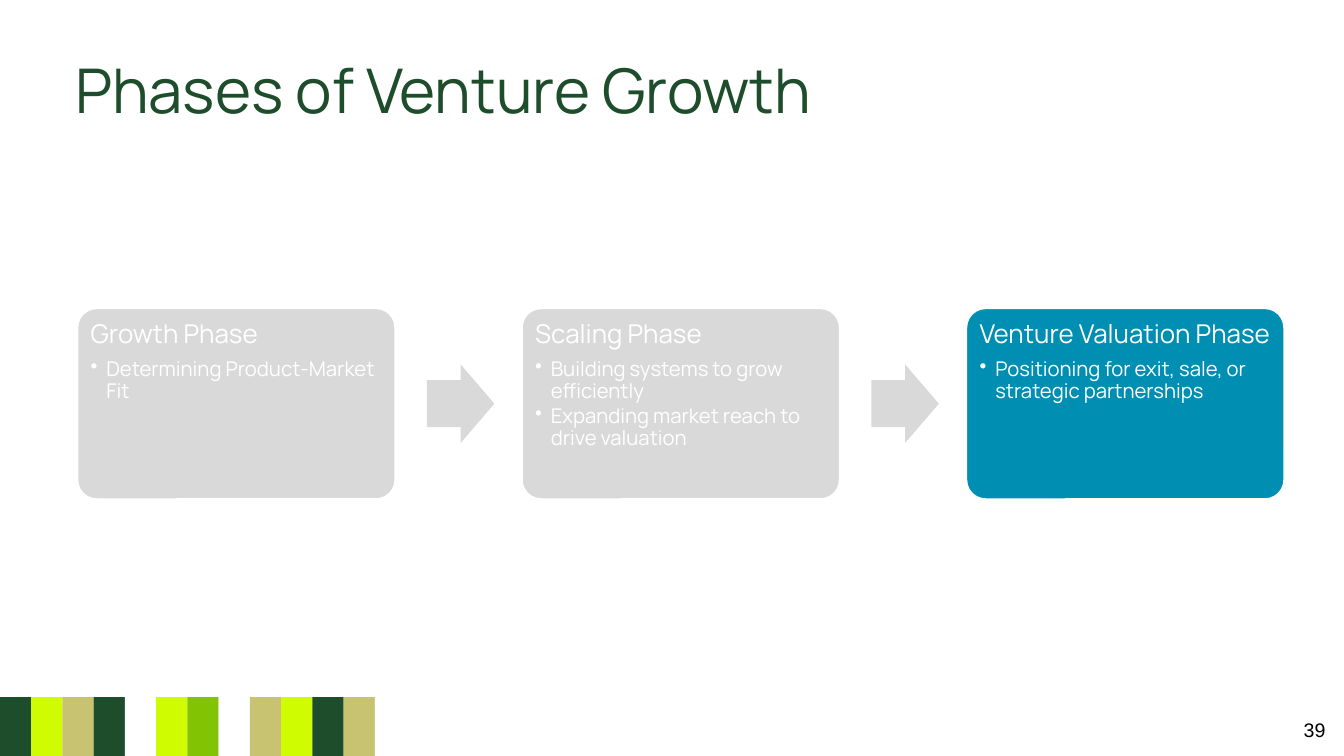
from dataclasses import dataclass

from lxml.etree import SubElement
from pptx import Presentation
from pptx.dml.color import RGBColor
from pptx.enum.shapes import MSO_SHAPE
from pptx.enum.text import MSO_ANCHOR, PP_ALIGN
from pptx.oxml.ns import qn
from pptx.shapes.autoshape import Shape
from pptx.slide import Slide
from pptx.text.text import TextFrame
from pptx.util import Inches, Pt


@dataclass(frozen=True)
class Theme:
    font: str = "Manrope"
    number_font: str = "Arial"
    title_size: int = 88
    heading_size: int = 37
    bullet_size: int = 29
    number_size: int = 28
    dark_green: str = "1E4D2B"
    lime: str = "CFFC00"
    khaki: str = "C8C371"
    leaf: str = "82C403"
    gray: str = "D9D9D9"
    blue: str = "008FB2"
    white: str = "FFFFFF"
    black: str = "000000"


@dataclass(frozen=True)
class Box:
    left: float
    top: float
    width: float
    height: float


@dataclass(frozen=True)
class Phase:
    heading: str
    bullets: tuple[str, ...]
    color: str


THEME = Theme()

PHASES = (
    Phase("Growth Phase", ("Determining Product-Market Fit",), THEME.gray),
    Phase(
        "Scaling Phase",
        ("Building systems to grow efficiently", "Expanding market reach to drive valuation"),
        THEME.gray,
    ),
    Phase(
        "Venture Valuation Phase",
        ("Positioning for exit, sale, or strategic partnerships",),
        THEME.blue,
    ),
)

STRIPES = (
    THEME.dark_green, THEME.lime, THEME.khaki, THEME.dark_green, THEME.white,
    THEME.lime, THEME.leaf, THEME.white, THEME.khaki, THEME.lime,
    THEME.dark_green, THEME.khaki, THEME.white,
)
STRIPE_WIDTH = 0.62
STRIPE_TOP = 13.83

CARD = Box(1.54, 6.12, 6.3, 3.78)
CARD_PITCH = 8.82
ARROW = Box(8.47, 7.23, 1.34, 1.56)


def add_filled_shape(slide: Slide, kind: MSO_SHAPE, box: Box, color: str) -> Shape:
    shape = slide.shapes.add_shape(
        kind, Inches(box.left), Inches(box.top), Inches(box.width), Inches(box.height)
    )
    shape.shadow.inherit = False
    shape.fill.solid()
    shape.fill.fore_color.rgb = RGBColor.from_string(color)
    shape.line.fill.background()
    return shape


def set_insets(frame: TextFrame, inset: float) -> None:
    frame.margin_left = frame.margin_right = Inches(inset)
    frame.margin_top = frame.margin_bottom = Inches(inset)


def add_label(
    slide: Slide, box: Box, text: str, font: str, size: int, color: str,
    anchor: MSO_ANCHOR, alignment: PP_ALIGN,
) -> TextFrame:
    frame = slide.shapes.add_textbox(
        Inches(box.left), Inches(box.top), Inches(box.width), Inches(box.height)
    ).text_frame
    frame.word_wrap = True
    frame.vertical_anchor = anchor
    paragraph = frame.paragraphs[0]
    paragraph.text = text
    paragraph.alignment = alignment
    paragraph.font.name = font
    paragraph.font.size = Pt(size)
    paragraph.font.color.rgb = RGBColor.from_string(color)
    return frame


def add_phase(slide: Slide, phase: Phase, box: Box) -> None:
    card = add_filled_shape(slide, MSO_SHAPE.ROUNDED_RECTANGLE, box, phase.color)
    card.adjustments[0] = 0.1
    card.line.color.rgb = RGBColor.from_string(THEME.white)
    card.line.width = Pt(2)
    frame = card.text_frame
    frame.word_wrap = True
    frame.vertical_anchor = MSO_ANCHOR.TOP
    set_insets(frame, 0.15)
    for index, text in enumerate((phase.heading, *phase.bullets)):
        is_bullet = index > 0
        paragraph = frame.add_paragraph() if is_bullet else frame.paragraphs[0]
        paragraph.text = text
        paragraph.alignment = PP_ALIGN.LEFT
        paragraph.line_spacing = 0.9
        paragraph.space_after = Pt(4.35 if is_bullet else 13)
        if is_bullet:
            paragraph.level = 1
            properties = paragraph._p.get_or_add_pPr()
            properties.set("marL", str(Inches(0.31)))
            properties.set("indent", str(-Inches(0.31)))
            SubElement(properties, qn("a:buChar"), char="•")
        paragraph.font.name = THEME.font
        paragraph.font.size = Pt(THEME.bullet_size if is_bullet else THEME.heading_size)
        paragraph.font.color.rgb = RGBColor.from_string(THEME.white)


def main() -> None:
    presentation = Presentation()
    presentation.slide_width = Inches(26.67)
    presentation.slide_height = Inches(15)
    slide = presentation.slides.add_slide(presentation.slide_layouts[6])

    for index, color in enumerate(STRIPES):
        stripe = Box(index * STRIPE_WIDTH, STRIPE_TOP, STRIPE_WIDTH, 15 - STRIPE_TOP)
        add_filled_shape(slide, MSO_SHAPE.RECTANGLE, stripe, color)

    title = add_label(
        slide, Box(1.39, 0.92, 24.25, 1.68), "Phases of Venture Growth", THEME.font,
        THEME.title_size, THEME.dark_green, MSO_ANCHOR.BOTTOM, PP_ALIGN.LEFT,
    )
    set_insets(title, 0.1)
    add_label(
        slide, Box(25.39, 14.24, 1.01, 0.49), "39", THEME.number_font,
        THEME.number_size, THEME.black, MSO_ANCHOR.MIDDLE, PP_ALIGN.RIGHT,
    )

    for index, phase in enumerate(PHASES):
        offset = index * CARD_PITCH
        add_phase(slide, phase, Box(CARD.left + offset, CARD.top, CARD.width, CARD.height))
        if index < len(PHASES) - 1:
            arrow_box = Box(ARROW.left + offset, ARROW.top, ARROW.width, ARROW.height)
            arrow = add_filled_shape(slide, MSO_SHAPE.RIGHT_ARROW, arrow_box, THEME.gray)
            arrow.adjustments[0] = 0.6
            arrow.adjustments[1] = 0.5

    presentation.save("out.pptx")


if __name__ == "__main__":
    main()
